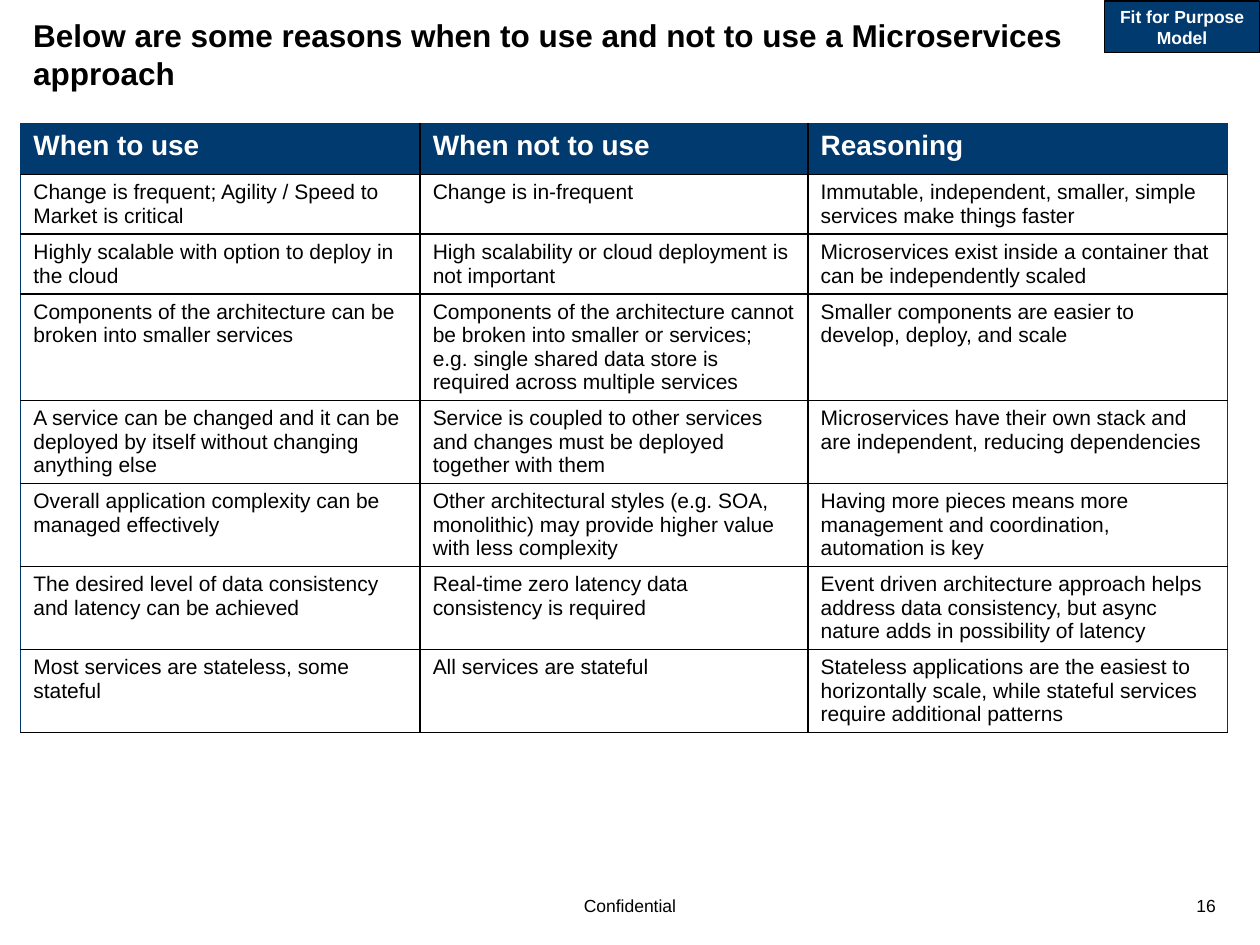
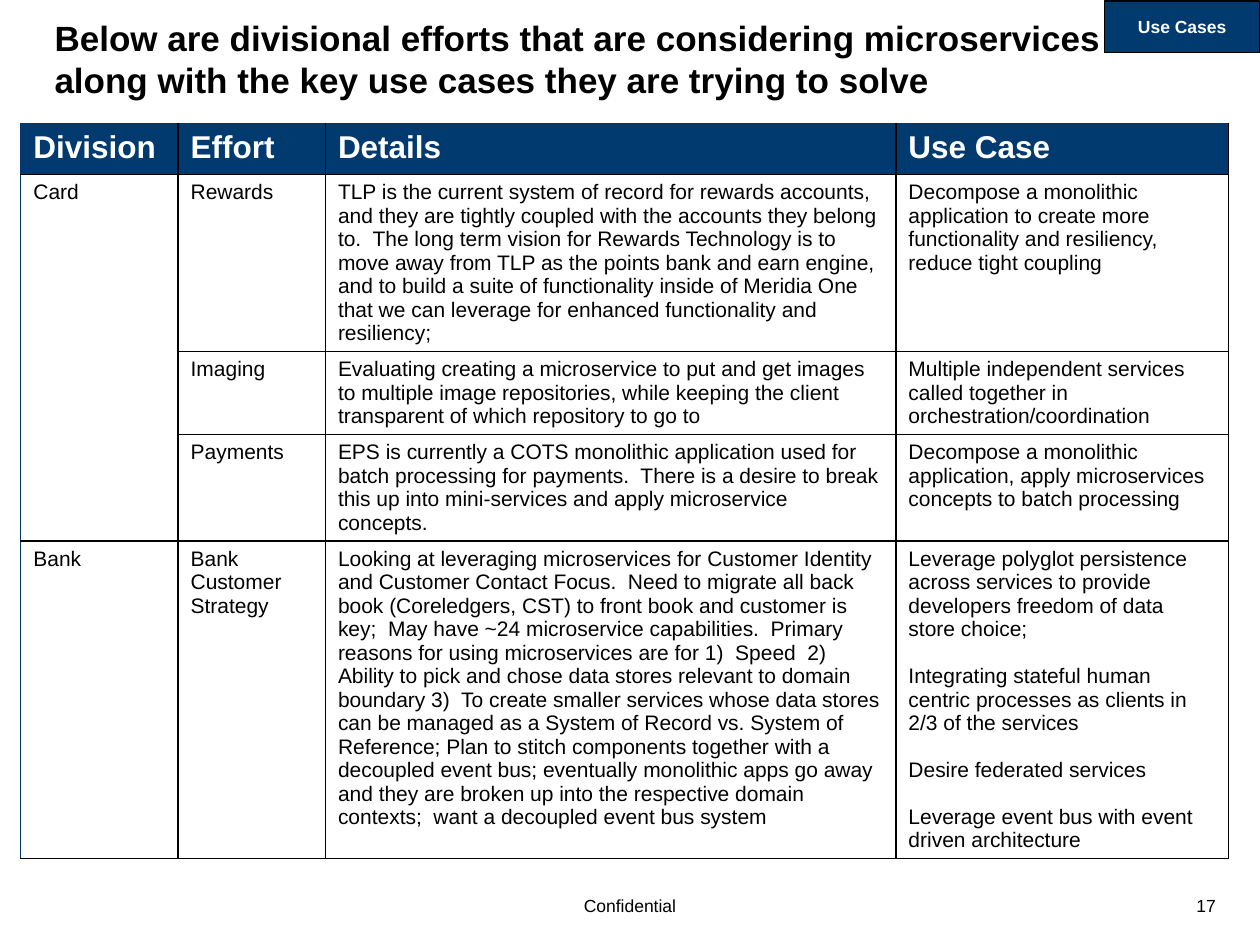
from lxml import etree
from pptx import Presentation
from pptx.dml.color import RGBColor
from pptx.enum.shapes import MSO_SHAPE as Shape
from pptx.enum.text import MSO_ANCHOR as Anchor, PP_ALIGN as Align
from pptx.oxml.ns import qn
from pptx.util import Cm, Pt

FONT = "Arial"
NAVY, BORDER_NAVY, BLACK, WHITE = "003A6F", "00396D", "000000", "FFFFFF"
TABLE_LEFT, TABLE_TOP, HEADER_HEIGHT = 0.42, 2.49, 1.03
LINE_HEIGHT, CELL_PADDING = 0.47, 0.25
LINE_PITCH = 13.4

REASONS = [
    ["When to use", "When not to use", "Reasoning"],
    ["Change is frequent; Agility / Speed to Market is critical",
     "Change is in-frequent",
     "Immutable, independent, smaller, simple services make things faster"],
    ["Highly scalable with option to deploy in the cloud",
     "High scalability or cloud deployment is not important",
     "Microservices exist inside a container that can be independently scaled"],
    ["Components of the architecture can be broken into smaller services",
     "Components of the architecture cannot be broken into smaller or services;  "
     "e.g. single shared data store is required across multiple services",
     "Smaller components are easier to develop, deploy, and scale"],
    ["A service can be changed and it can be deployed by itself without changing "
     "anything else",
     "Service is coupled to other services and changes must be deployed together "
     "with them",
     "Microservices have their own stack and are independent, reducing dependencies"],
    ["Overall application complexity can be managed effectively",
     "Other architectural styles (e.g. SOA, monolithic) may provide higher value "
     "with less complexity",
     "Having more pieces means more management and coordination, automation is key"],
    ["The desired level of data consistency and latency can be achieved",
     "Real-time zero latency data consistency is required",
     "Event driven architecture approach helps address data consistency, but async "
     "nature adds in possibility of latency"],
    ["Most services are stateless, some stateful",
     "All services are stateful",
     "Stateless applications are the easiest to horizontally scale, while stateful "
     "services require additional patterns"],
]

EFFORTS = [
    ["Division", "Effort", "Details", "Use Case"],
    ["Card", "Rewards",
     "TLP is the current system of record for rewards accounts, and they are tightly "
     "coupled with the accounts they belong to.  The long term vision for Rewards "
     "Technology is to move away from TLP as the points bank and earn engine, and to "
     "build a suite of functionality inside of Meridia One that we can leverage for "
     "enhanced functionality and resiliency;",
     "Decompose a monolithic application to create more functionality and "
     "resiliency, reduce tight coupling"],
    [None, "Imaging",
     "Evaluating creating a microservice to put and get images to multiple image "
     "repositories, while keeping the client transparent of which repository to go to",
     "Multiple independent services called together in orchestration/coordination"],
    [None, "Payments",
     "EPS is currently a COTS monolithic application used for batch processing for "
     "payments.  There is a desire to break this up into mini-services and apply "
     "microservice concepts.",
     "Decompose a monolithic application, apply microservices concepts to batch "
     "processing"],
    ["Bank", "Bank Customer Strategy",
     "Looking at leveraging microservices for Customer Identity and Customer Contact "
     "Focus.  Need to migrate all back book (Coreledgers, CST) to front book and "
     "customer is key;  May have ~24 microservice capabilities.  Primary reasons for "
     "using microservices are for 1)  Speed  2)  Ability to pick and chose data "
     "stores relevant to domain boundary 3)  To create smaller services whose data "
     "stores can be managed as a System of Record vs. System of Reference; Plan to "
     "stitch components together with a decoupled event bus; eventually monolithic "
     "apps go away and they are broken up into the respective domain contexts;  want "
     "a decoupled event bus system",
     "Leverage polyglot persistence across services to provide developers freedom of "
     "data store choice;\n"
     "Integrating stateful human centric processes as clients in 2/3 of the services\n"
     "Desire federated services\n"
     "Leverage event bus with event driven architecture"],
]


def rgb(value):
    return RGBColor.from_string(value)


def write_text(frame, text, size=12, color=BLACK, bold=False, align=Align.LEFT,
               line_spacing=None, gap=0):
    r"""Fill a frame: \n starts a paragraph, \v breaks a line, gap is in points."""
    frame.word_wrap = True
    for index, line in enumerate(text.split("\n")):
        para = frame.add_paragraph() if index else frame.paragraphs[0]
        para.text = line
        para.alignment = align
        para.line_spacing = line_spacing
        if index:
            para.space_before = Pt(gap)
        for span in para.runs:
            span.font.name = FONT
            span.font.size = Pt(size)
            span.font.bold = bold
            span.font.color.rgb = rgb(color)


def add_text(page, left, top, width, height, text, **fmt):
    box = page.shapes.add_textbox(Cm(left), Cm(top), Cm(width), Cm(height))
    write_text(box.text_frame, text, **fmt)


def add_badge(page, text):
    badge = page.shapes.add_shape(Shape.RECTANGLE, Cm(22.27), Cm(0.02), Cm(3.12), Cm(1.04))
    badge.shadow.inherit = False
    badge.fill.solid()
    badge.fill.fore_color.rgb = rgb(NAVY)
    badge.line.color.rgb = rgb(BLACK)
    badge.line.width = Pt(0.75)
    frame = badge.text_frame
    frame.vertical_anchor = Anchor.MIDDLE
    frame.margin_left = frame.margin_right = Cm(0.13)
    frame.margin_top = frame.margin_bottom = Cm(0.13)
    write_text(frame, text, size=10, color=WHITE, bold=True, align=Align.CENTER)


def set_borders(cell, navy_sides):
    """Draw all four borders: thin navy on the given sides (L, R, T, B), else black."""
    props = cell._tc.get_or_add_tcPr()
    for position, side in enumerate("LRTB"):
        color, points = (BORDER_NAVY, 0.75) if side in navy_sides else (BLACK, 1)
        line = etree.Element(qn(f"a:ln{side}"), w=str(Pt(points)))
        fill = etree.SubElement(line, qn("a:solidFill"))
        etree.SubElement(fill, qn("a:srgbClr"), val=color)
        props.insert(position, line)


def add_grid(page, rows, widths, line_counts, header_size, navy_right=False):
    """Add a table whose body rows are as tall as their count of text lines."""
    heights = [HEADER_HEIGHT] + [CELL_PADDING + LINE_HEIGHT * n for n in line_counts]
    table = page.shapes.add_table(len(rows), len(widths), Cm(TABLE_LEFT), Cm(TABLE_TOP),
                                  Cm(sum(widths)), Cm(sum(heights))).table
    table.first_row = table.horz_banding = False
    for column, width in zip(table.columns, widths):
        column.width = Cm(width)
    for row, height in zip(table.rows, heights):
        row.height = Cm(height)

    last = len(widths) - 1
    for r, texts in enumerate(rows):
        for c, text in enumerate(texts):
            cell = table.cell(r, c)
            if r == 0:
                cell.fill.solid()
                cell.fill.fore_color.rgb = rgb(NAVY)
                write_text(cell.text_frame, text, size=header_size, color=WHITE, bold=True)
            else:
                cell.fill.background()
                if text:
                    write_text(cell.text_frame, text, line_spacing=Pt(LINE_PITCH),
                               gap=LINE_PITCH)
            navy_sides = "T" if r == 0 else ""
            navy_sides += "L" if c == 0 else ""
            navy_sides += "R" if c == last and navy_right else ""
            set_borders(cell, navy_sides)
    return table


def add_page(deck, number, title, title_left, title_width, title_size):
    """Add a blank page with its title, footer and page number."""
    page = deck.slides.add_slide(deck.slide_layouts[6])
    add_text(page, 23.62, 17.91, 1.14, 0.69, str(number), size=10, align=Align.RIGHT)
    add_text(page, 5.08, 17.91, 15.24, 0.69, "Confidential", size=10, align=Align.CENTER)
    add_text(page, title_left, 0.2, title_width, 1.96, title, size=title_size, bold=True)
    return page


def main():
    deck = Presentation()
    deck.slide_width, deck.slide_height = Cm(25.4), Cm(19.05)

    page = add_page(deck, 16, "Below are some reasons when to use and not to use a "
                    "Microservices\vapproach", 0.42, 24.98, 18)
    add_grid(page, REASONS, [8.05, 7.82, 8.46], [2, 2, 4, 3, 3, 3, 3], 16, navy_right=True)
    add_badge(page, "Fit for Purpose Model")

    page = add_page(deck, 17, "Below are divisional efforts that are considering "
                    "microservices\valong with the key use cases they are trying to solve",
                    0.85, 23.7, 20)
    efforts = add_grid(page, EFFORTS, [3.17, 2.97, 11.5, 6.7], [7, 3, 4, 13], 18)
    efforts.cell(1, 0).merge(efforts.cell(3, 0))
    add_badge(page, "Use Cases")

    deck.save("out.pptx")


if __name__ == "__main__":
    main()
